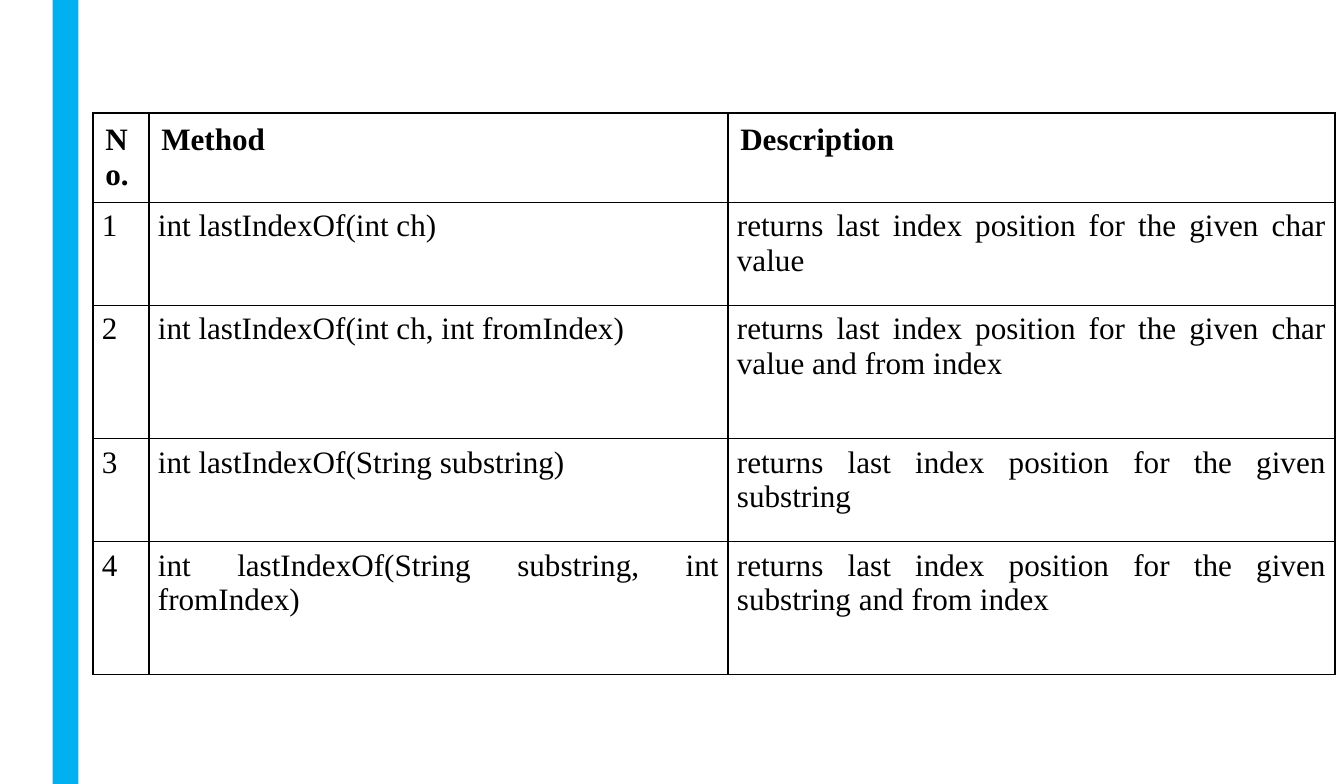
import dataclasses

import pptx
import pptx.dml.color
import pptx.enum.shapes
import pptx.enum.text
import pptx.oxml
import pptx.oxml.ns
import pptx.util

Inches = pptx.util.Inches


@dataclasses.dataclass(frozen=True)
class Theme:
    """Colours, font and sizes shared by the whole slide."""
    accent: str = "00B0F0"
    ink: str = "000000"
    font: str = "Times New Roman"
    text_size: int = 20
    border_width: int = 1


THEME = Theme()
COLUMN_WIDTHS = (0.5, 5.17, 5.42)
ROW_HEIGHTS = (0.75, 0.92, 1.19, 0.92, 1.19)
HEADINGS = ("No.", "Method", "Description")
METHODS = (
    ("int lastIndexOf(int ch)",
     "returns last index position for the given char value"),
    ("int lastIndexOf(int ch, int fromIndex)",
     "returns last index position for the given char value and from index"),
    ("int lastIndexOf(String substring)",
     "returns last index position for the given substring"),
    ("int lastIndexOf(String substring, int fromIndex)",
     "returns last index position for the given substring and from index"),
)


def add_side_bar(page, left, top, width, height):
    """Draw the coloured bar along the left edge."""
    bar = page.shapes.add_shape(
        pptx.enum.shapes.MSO_SHAPE.RECTANGLE,
        Inches(left), Inches(top), Inches(width), Inches(height))
    bar.shadow.inherit = False
    bar.fill.solid()
    bar.fill.fore_color.rgb = pptx.dml.color.RGBColor.from_string(THEME.accent)
    bar.line.fill.background()


def draw_borders(cell):
    """Give a cell a thin line on all four sides."""
    properties = cell._tc.get_or_add_tcPr()
    width = pptx.util.Pt(THEME.border_width)
    for position, side in enumerate(("lnL", "lnR", "lnT", "lnB")):
        line = pptx.oxml.parse_xml(
            f'<a:{side} {pptx.oxml.ns.nsdecls("a")} w="{width}">'
            f'<a:solidFill><a:srgbClr val="{THEME.ink}"/></a:solidFill>'
            f'</a:{side}>')
        properties.insert(position, line)


def fill_cell(cell, text, is_heading):
    """Write and format one cell of the method table."""
    side, end = (0.11, 0.09) if is_heading else (0.08, 0.06)
    cell.margin_left = cell.margin_right = Inches(side)
    cell.margin_top = cell.margin_bottom = Inches(end)
    cell.fill.background()
    draw_borders(cell)
    para = cell.text_frame.paragraphs[0]
    if not is_heading:
        para.alignment = pptx.enum.text.PP_ALIGN.JUSTIFY
    span = para.add_run()
    span.text = text
    span.font.name = THEME.font
    span.font.size = pptx.util.Pt(THEME.text_size)
    span.font.bold = is_heading
    span.font.color.rgb = pptx.dml.color.RGBColor.from_string(THEME.ink)


def add_method_table(page, left, top, width, height):
    """Place the numbered table of methods in the given box."""
    rows = [HEADINGS]
    rows += [(str(number), *method) for number, method in enumerate(METHODS, 1)]
    table = page.shapes.add_table(
        len(rows), len(HEADINGS),
        Inches(left), Inches(top), Inches(width), Inches(height)).table
    table.horz_banding = False
    for column, share in zip(table.columns, COLUMN_WIDTHS):
        column.width = Inches(width * share / sum(COLUMN_WIDTHS))
    for row, share in zip(table.rows, ROW_HEIGHTS):
        row.height = Inches(height * share / sum(ROW_HEIGHTS))
    for row_index, texts in enumerate(rows):
        for column_index, text in enumerate(texts):
            fill_cell(table.cell(row_index, column_index), text, row_index == 0)


def main():
    """Build the slide and save the deck."""
    deck = pptx.Presentation()
    deck.slide_width = Inches(12)
    deck.slide_height = Inches(7)
    page = deck.slides.add_slide(deck.slide_layouts[6])
    add_side_bar(page, 0.47, 0, 0.23, 7)
    add_method_table(page, 0.83, 1.01, sum(COLUMN_WIDTHS), sum(ROW_HEIGHTS))
    deck.save("out.pptx")


if __name__ == "__main__":
    main()
